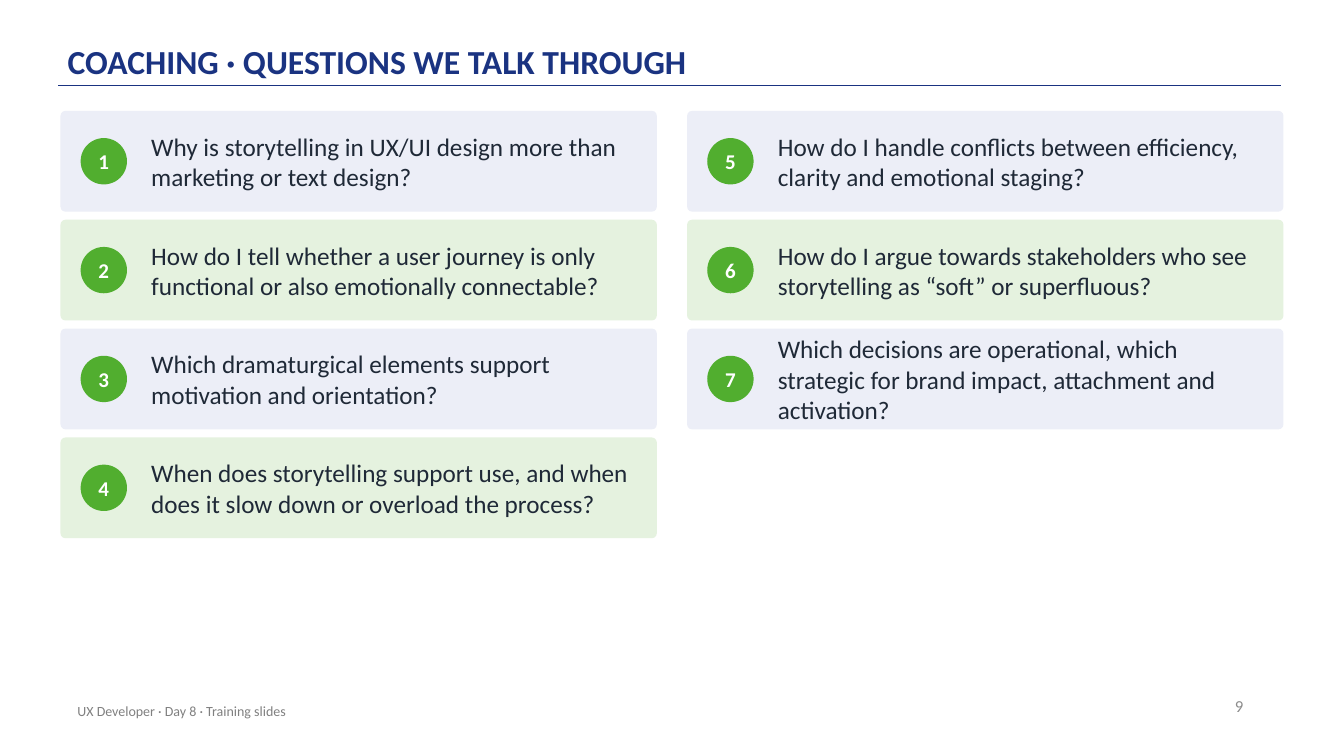
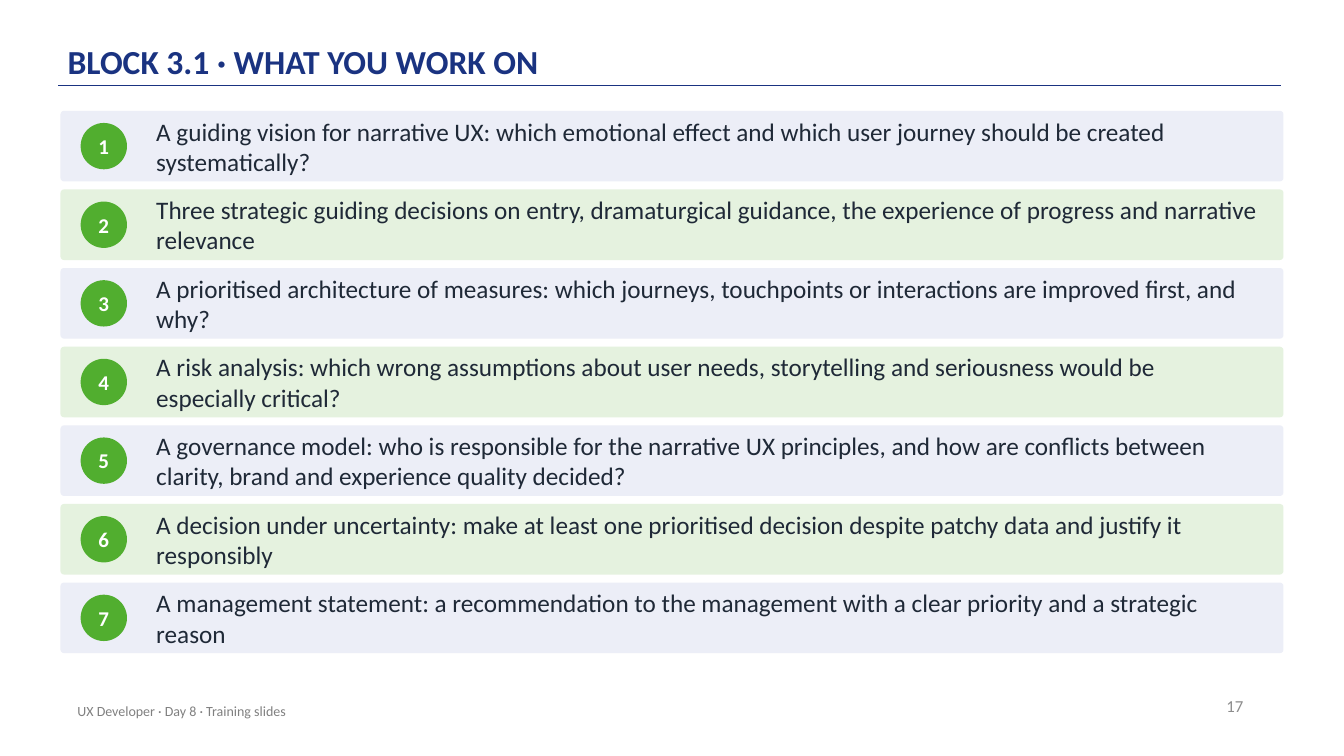
import pptx
import pptx.dml.color
import pptx.enum.shapes
import pptx.enum.text
import pptx.oxml.ns
import pptx.util
from lxml import etree

RGBColor = pptx.dml.color.RGBColor
Inches = pptx.util.Inches
Pt = pptx.util.Pt
Shape = pptx.enum.shapes.MSO_SHAPE
Anchor = pptx.enum.text.MSO_ANCHOR
Align = pptx.enum.text.PP_ALIGN
AutoSize = pptx.enum.text.MSO_AUTO_SIZE

NAVY = RGBColor(0x1A, 0x33, 0x81)
GREEN = RGBColor(0x51, 0xAE, 0x2F)
PALE_BLUE = RGBColor(0xEC, 0xEE, 0xF7)
PALE_GREEN = RGBColor(0xE5, 0xF2, 0xDF)
INK = RGBColor(0x1F, 0x29, 0x37)
WHITE = RGBColor(0xFF, 0xFF, 0xFF)
GRAY = RGBColor(0x80, 0x80, 0x80)
LIGHT_GRAY = RGBColor(0x8C, 0x8C, 0x8C)

SLIDE_WIDTH, SLIDE_HEIGHT = 13.33, 7.5
GRID_LEFT, GRID_TOP, GRID_WIDTH = 0.6, 1.1, 12.13
COLUMN_GAP, ROW_GAP = 0.3, 0.08
BADGE_SIZE, BADGE_INDENT, TEXT_INDENT = 0.46, 0.2, 0.7
FOOTER_TEXT = "UX Developer · Day 8 · Training slides"
TITLE_ONLY_LAYOUT = 5

TEXT_STYLES = {
    "title": {"size": Pt(24), "bold": True, "color": NAVY},
    "badge": {"size": Pt(15), "bold": True, "color": WHITE},
    "body": {"size": Pt(18), "bold": False, "color": INK},
    "footer": {"size": Pt(10), "bold": False, "color": GRAY},
    "number": {"size": Pt(12), "bold": False, "color": LIGHT_GRAY},
}
NO_MARGINS = {"margin_left": 0, "margin_right": 0, "margin_top": 0, "margin_bottom": 0}
TITLE_FRAME = {**NO_MARGINS, "margin_top": Inches(0.03), "margin_bottom": Inches(0.03),
               "vertical_anchor": Anchor.BOTTOM, "auto_size": AutoSize.NONE}

QUESTIONS = [
    "Why is storytelling in UX/UI design more than marketing or text design?",
    "How do I tell whether a user journey is only functional or also emotionally connectable?",
    "Which dramaturgical elements support motivation and orientation?",
    "When does storytelling support use, and when does it slow down or overload the process?",
    "How do I handle conflicts between efficiency, clarity and emotional staging?",
    "How do I argue towards stakeholders who see storytelling as “soft” or superfluous?",
    "Which decisions are operational, which strategic for brand impact, attachment and activation?",
]
WORK_ITEMS = [
    "A guiding vision for narrative UX: which emotional effect and which user journey "
    "should be created systematically?",
    "Three strategic guiding decisions on entry, dramaturgical guidance, the experience "
    "of progress and narrative relevance",
    "A prioritised architecture of measures: which journeys, touchpoints or interactions "
    "are improved first, and why?",
    "A risk analysis: which wrong assumptions about user needs, storytelling and "
    "seriousness would be especially critical?",
    "A governance model: who is responsible for the narrative UX principles, and how are "
    "conflicts between clarity, brand and experience quality decided?",
    "A decision under uncertainty: make at least one prioritised decision despite patchy "
    "data and justify it responsibly",
    "A management statement: a recommendation to the management with a clear priority "
    "and a strategic reason",
]


def set_attributes(target, values):
    for name, value in values.items():
        setattr(target, name, value)


class Deck:
    """Holds the presentation, its style and the slide being built."""

    def __init__(self):
        self.presentation = pptx.Presentation()
        self.presentation.slide_width = Inches(SLIDE_WIDTH)
        self.presentation.slide_height = Inches(SLIDE_HEIGHT)
        self.slide = None

    def add_slide(self, title, number):
        layout = self.presentation.slide_layouts[TITLE_ONLY_LAYOUT]
        self.slide = self.presentation.slides.add_slide(layout)
        self.add_title_rule()
        self.add_title(title)
        self.add_text((9.43, 6.8, 3, 0.4), str(number), "number", Align.RIGHT)
        self.add_text((0.67, 6.85, 6.7, 0.4), FOOTER_TEXT, "footer")

    def add_title_rule(self):
        rule = self.slide.shapes.add_connector(
            pptx.enum.shapes.MSO_CONNECTOR.STRAIGHT,
            Inches(0.58), Inches(0.85), Inches(12.71), Inches(0.85))
        rule.line.color.rgb = NAVY
        rule.line.width = Pt(1)
        etree.SubElement(rule._element.spPr, pptx.oxml.ns.qn("a:effectLst"))

    def add_title(self, text):
        title = self.slide.shapes.title
        bounds = zip(("left", "top", "width", "height"), map(Inches, (0.67, 0.12, 11, 0.72)))
        set_attributes(title, dict(bounds))
        self.fill_text(title, text, "title", Align.LEFT, TITLE_FRAME)
        title.text_frame.paragraphs[0].line_spacing = 0.9

    def add_text(self, bounds, text, style, alignment=Align.LEFT, frame_format=None):
        box = self.slide.shapes.add_textbox(*map(Inches, bounds))
        self.fill_text(box, text, style, alignment, frame_format)

    def add_preset(self, kind, bounds, color):
        shape = self.slide.shapes.add_shape(kind, *map(Inches, bounds))
        shape.shadow.inherit = False
        shape.fill.solid()
        shape.fill.fore_color.rgb = color
        shape.line.fill.background()
        return shape

    def fill_text(self, shape, text, style, alignment, frame_format=None):
        frame = shape.text_frame
        defaults = {"word_wrap": True, "vertical_anchor": Anchor.MIDDLE}
        set_attributes(frame, {**defaults, **(frame_format or {})})
        paragraph = frame.paragraphs[0]
        paragraph.alignment = alignment
        run = paragraph.add_run()
        run.text = text
        values = dict(TEXT_STYLES[style])
        run.font.color.rgb = values.pop("color")
        set_attributes(run.font, {"name": "Calibri", **values})

    def add_card(self, bounds, number, text, color, padding):
        left, top, width, height = bounds
        card = self.add_preset(Shape.ROUNDED_RECTANGLE, bounds, color)
        card.adjustments[0] = 0.05
        badge_top = top + (height - BADGE_SIZE) / 2
        badge = self.add_preset(
            Shape.OVAL, (left + BADGE_INDENT, badge_top, BADGE_SIZE, BADGE_SIZE), GREEN)
        self.fill_text(badge, str(number), "badge", Align.CENTER, NO_MARGINS)
        indent = TEXT_INDENT + padding
        self.add_text((left + indent, top, width - indent - padding, height), text, "body",
                      frame_format={**NO_MARGINS, "auto_size": AutoSize.SHAPE_TO_FIT_TEXT})

    def add_cards(self, texts, columns, rows, row_height, padding):
        """Fill the grid column by column, with colours alternating by row."""
        width = (GRID_WIDTH - COLUMN_GAP * (columns - 1)) / columns
        for index, text in enumerate(texts):
            column, row = divmod(index, rows)
            bounds = (GRID_LEFT + column * (width + COLUMN_GAP),
                      GRID_TOP + row * (row_height + ROW_GAP), width, row_height)
            color = PALE_GREEN if row % 2 else PALE_BLUE
            self.add_card(bounds, index + 1, text, color, padding)


def main():
    deck = Deck()
    deck.add_slide("COACHING · QUESTIONS WE TALK THROUGH", 9)
    deck.add_cards(QUESTIONS, columns=2, rows=4, row_height=1, padding=0.2)
    deck.add_slide("BLOCK 3.1 · WHAT YOU WORK ON", 17)
    deck.add_cards(WORK_ITEMS, columns=1, rows=7, row_height=0.7, padding=0.25)
    deck.presentation.save("out.pptx")


if __name__ == "__main__":
    main()
